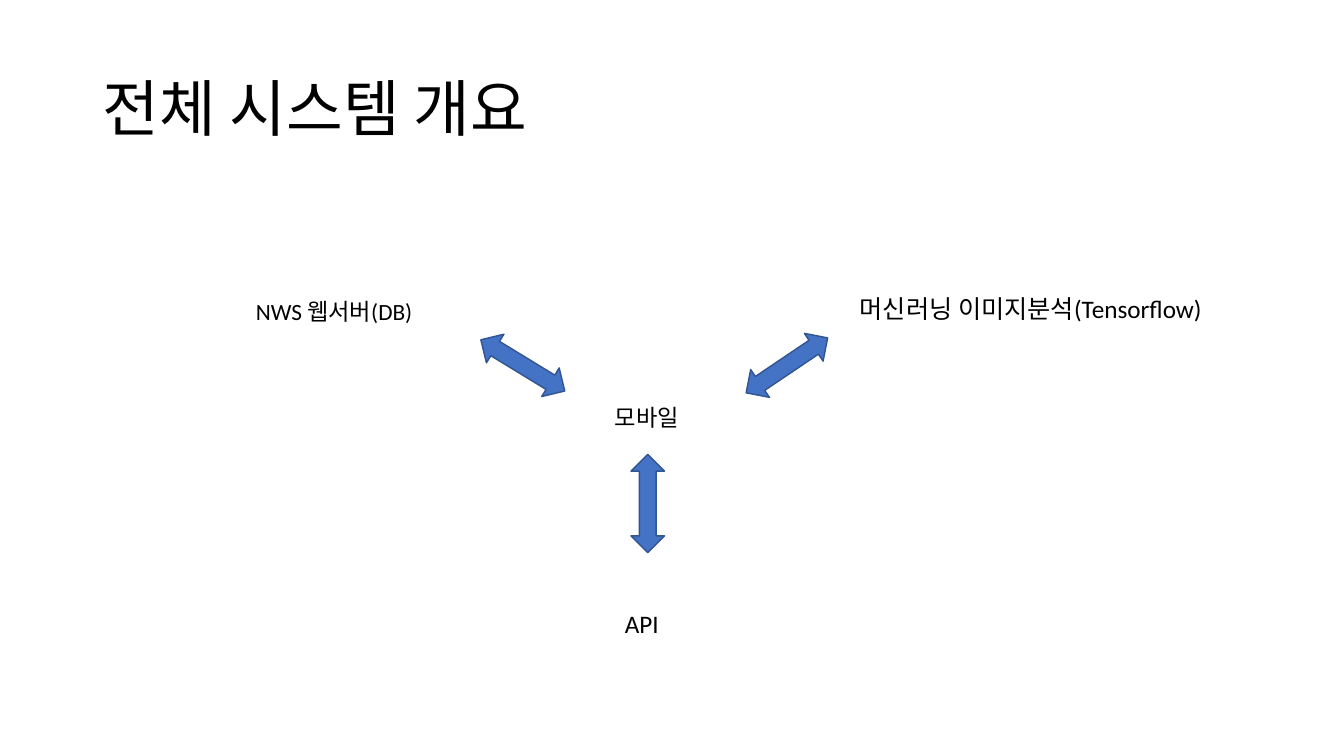
from pptx import Presentation
from pptx import util as u
from pptx.dml import color
from pptx.enum import shapes, text

THEME = {
    "font": "Calibri",
    "text": color.RGBColor.from_string("000000"),
    "arrow": color.RGBColor.from_string("4472C4"),
    "outline": color.RGBColor.from_string("325491"),
    "title": u.Pt(44),
    "label": u.Pt(18),
    "small": u.Pt(16.6),
}

presentation = Presentation()
presentation.slide_width = u.Inches(13.33)
presentation.slide_height = u.Inches(7.5)
slide = presentation.slides.add_slide(presentation.slide_layouts[6])

# The slide is a grid of 100 columns by 100 rows
COLUMN = presentation.slide_width / 100
ROW = presentation.slide_height / 100


def place(left, top, width, height):
    """Turn grid columns and rows into slide lengths."""
    return [round(n) for n in (left * COLUMN, top * ROW, width * COLUMN, height * ROW)]


def apply(target, formats):
    """Set each attribute of the target from a dict of format values."""
    for name, value in formats.items():
        setattr(target, name, value)


# Wording, grid place, type size, line spacing, top inset in inches
labels = [
    ("전체 시스템 개요", (6.9, 5.33, 36.6, 18.93), "title", 0.9, 0.05),
    ("모바일", (45, 50.4, 7.5, 8.27), "small", 1.0, 0.15),
    ("NWS 웹서버(DB)", (18.3, 36.4, 15.45, 8.27), "small", 1.0, 0.15),
    ("머신러닝 이미지분석(Tensorflow)", (63.23, 34.93, 30, 9.73), "label", 1.0, 0.2),
    ("API", (45.75, 77.87, 8.48, 9.73), "label", 0.9, 0.05),
]
for wording, area, size, spacing, inset in labels:
    box = slide.shapes.add_textbox(*place(*area))
    apply(box.text_frame, {
        "word_wrap": True,
        "vertical_anchor": text.MSO_ANCHOR.MIDDLE,
        "margin_top": u.Inches(inset),
    })
    paragraph = box.text_frame.paragraphs[0]
    paragraph.line_spacing = spacing
    run = paragraph.add_run()
    run.text = wording
    apply(run.font, {"name": THEME["font"], "size": THEME[size]})
    run.font.color.rgb = THEME["text"]

# Arrows between the mobile app and its services: centre column, centre row, turn
ARROW_WIDTH, ARROW_HEIGHT = 2.5, 13
for column, row, turn in [(48.2, 66.6, 0), (38.9, 48.33, 301.4), (58.55, 48.33, 56)]:
    arrow = slide.shapes.add_shape(
        shapes.MSO_SHAPE.UP_DOWN_ARROW,
        *place(column - ARROW_WIDTH / 2, row - ARROW_HEIGHT / 2, ARROW_WIDTH, ARROW_HEIGHT),
    )
    arrow.rotation = turn
    arrow.shadow.inherit = False
    arrow.fill.solid()
    arrow.fill.fore_color.rgb = THEME["arrow"]
    arrow.line.color.rgb = THEME["outline"]
    arrow.line.width = u.Pt(1)

presentation.save("out.pptx")
